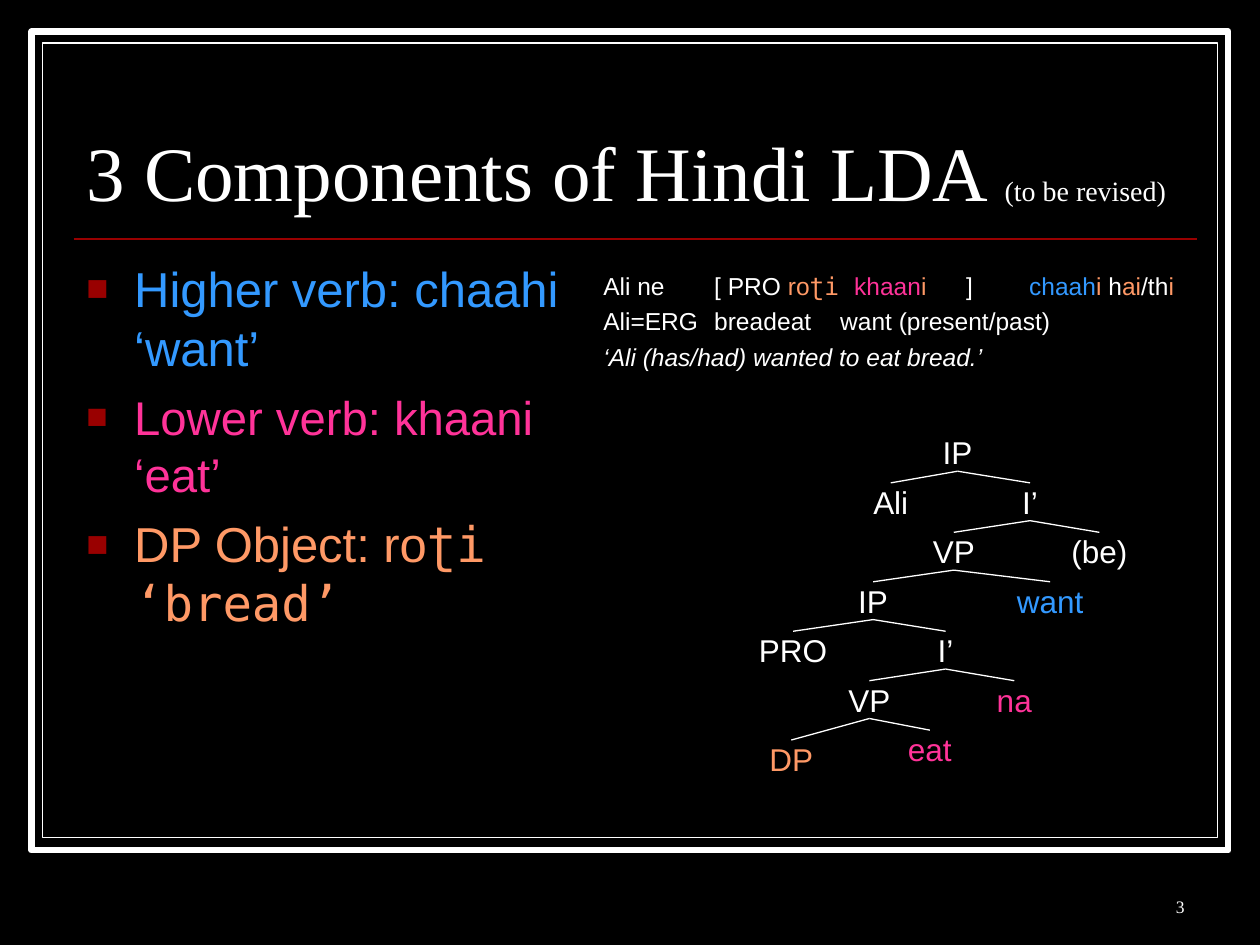
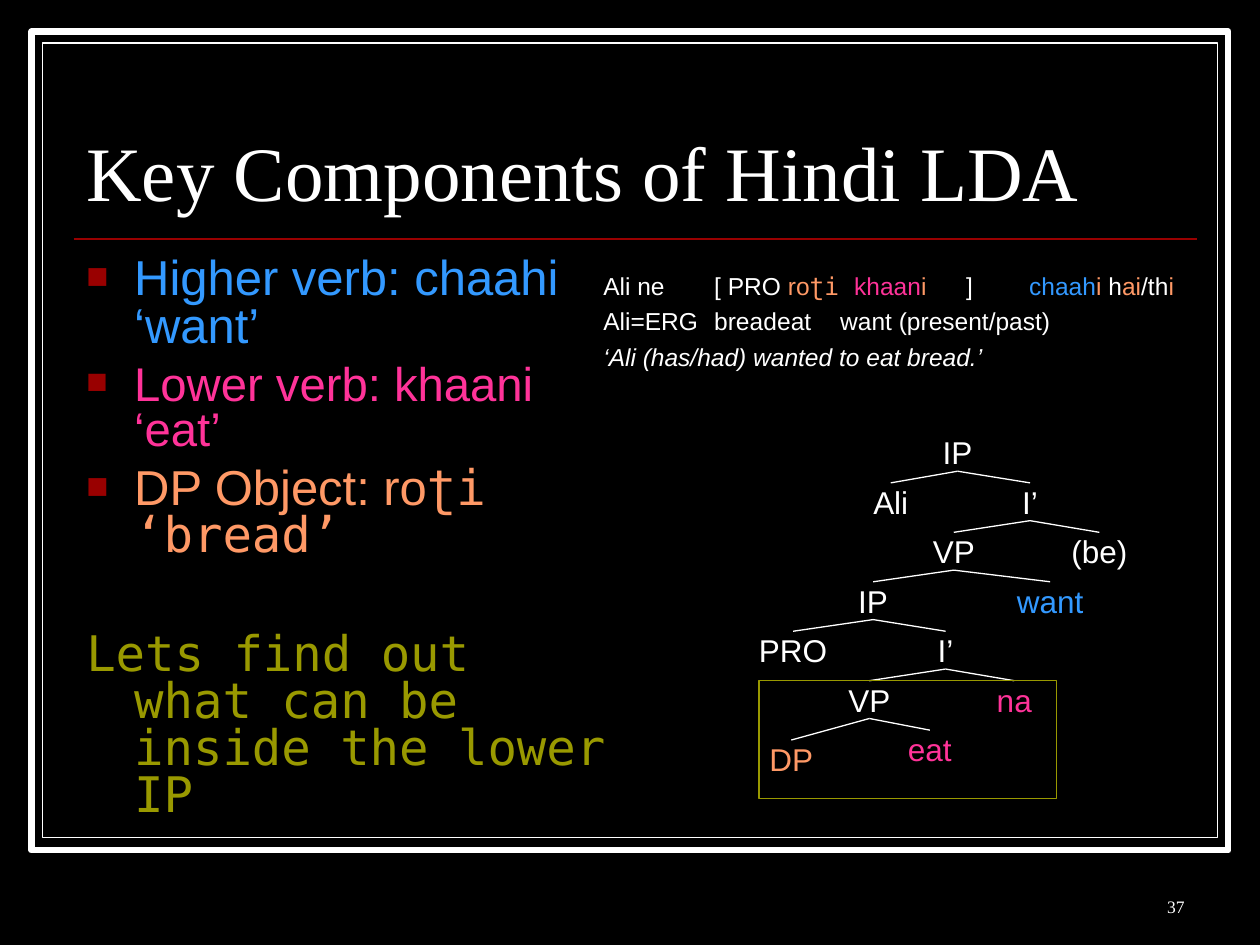
import pptx
import pptx.dml.color
import pptx.enum.shapes
import pptx.enum.text
import pptx.oxml
import pptx.oxml.ns
import pptx.util

# Shared look
WHITE, BLACK, RED = "FFFFFF", "000000", "990000"
BLUE, PINK, ORANGE, OLIVE = "3399FF", "FF3399", "FF9966", "999900"
SERIF, SANS, MONO = "Times New Roman", "Arial", "DejaVu Sans Mono"
HANGING = pptx.util.Inches(0.38)
colour = pptx.dml.color.RGBColor.from_string
Align = pptx.enum.text.PP_ALIGN
Anchor = pptx.enum.text.MSO_ANCHOR
RECTANGLE = pptx.enum.shapes.MSO_SHAPE.RECTANGLE
STRAIGHT = pptx.enum.shapes.MSO_CONNECTOR.STRAIGHT

presentation = pptx.Presentation()
presentation.slide_width = pptx.util.Inches(10)
presentation.slide_height = pptx.util.Inches(7.5)
CELL = presentation.slide_width // 40  # the slide is 40 columns by 30 rows


def grid(*cells):
    """Turn columns and rows into slide lengths."""
    return [int(cell * CELL) for cell in cells]


def write(paragraph, runs, font_format, paragraph_format):
    """Fill a paragraph with (text, changes to the font) runs."""
    for name, value in paragraph_format.items():
        setattr(paragraph, name, value)
    for text, changes in runs:
        run = paragraph.add_run()
        run.text = text
        for name, value in {**font_format, **changes}.items():
            if name == "color":
                run.font.color.rgb = colour(value)
            else:
                setattr(run.font, name, value)


# Wording
verb_lines = [
    ([("Higher verb: chaahi ‘want’", {"color": BLUE})], 28),
    ([("Lower verb: khaani ‘eat’", {"color": PINK})], 27),
    ([("DP Object: ro", {"color": ORANGE}),
      ("ʈi ‘bread’", {"color": ORANGE, "name": MONO})], 28),
]
closing_line = [("Lets find out what can be inside the lower IP",
                 {"color": OLIVE, "name": MONO})]

# Glossed example: runs and tab stops in inches
gloss_lines = [
    ([("Ali ne\t[ PRO ", {}), ("ro", {"color": ORANGE}),
      ("ʈi ", {"color": ORANGE, "name": MONO}), ("khaan", {"color": PINK}),
      ("i", {"color": ORANGE}), ("\t]\t", {}), ("chaah", {"color": BLUE}),
      ("i ", {"color": ORANGE}), ("h", {}), ("ai", {"color": ORANGE}),
      ("/th", {}), ("i", {"color": ORANGE})], [0.54, 2.27, 3]),
    ([("Ali=ERG\tbread\teat\twant (present/past)", {})], [0.75, 2, 3]),
    ([("‘Ali (has/had) wanted to eat bread.’", {"italic": True})], []),
]

# Syntax tree: label, centre column, level, colour, index of the parent
tree_nodes = [
    ("IP", 30.4, 0, WHITE, None),
    ("Ali", 28.28, 1, WHITE, 0),
    ("I’", 32.7, 1, WHITE, 0),
    ("VP", 30.28, 2, WHITE, 2),
    ("(be)", 34.9, 2, WHITE, 2),
    ("IP", 27.72, 3, WHITE, 3),
    ("want", 33.34, 3, BLUE, 3),
    ("PRO", 25.18, 4, WHITE, 5),
    ("I’", 30.02, 4, WHITE, 5),
    ("VP", 27.6, 5, WHITE, 8),
    ("na", 32.2, 5, PINK, 8),
    ("DP", 25.12, 6.2, ORANGE, 9),
    ("eat", 29.52, 6, PINK, 9),
]
TREE_TOP, LEVEL_STEP, LABEL_HEIGHT, LABEL_WIDTH = 13.76, 1.57, 1.2, 2.4

# Background, double frame and title rule, kept on the layout
layout = presentation.slide_layouts[1]
layout.background.fill.solid()
layout.background.fill.fore_color.rgb = colour(BLACK)
first_slide = presentation.slides.add_slide(layout)
frame_parts = []
for frame_box, width in [((1, 1, 38, 26), 3.5), ((1.36, 1.36, 37.3, 25.24), 0.75)]:
    frame = first_slide.shapes.add_shape(RECTANGLE, *grid(*frame_box))
    frame.shadow.inherit = False
    frame.fill.solid()
    frame.fill.fore_color.rgb = colour(BLACK)
    frame.line.color.rgb = colour(WHITE)
    frame.line.width = pptx.util.Pt(width)
    frame_parts.append(frame)
rule = first_slide.shapes.add_connector(STRAIGHT, *grid(2.34, 7.58, 38, 7.58))
rule.line.color.rgb = colour(RED)
rule.line.width = pptx.util.Pt(1)
rule._element.spPr.append(pptx.oxml.parse_xml(
    f"<a:effectLst {pptx.oxml.ns.nsdecls('a')}/>"))
for position, part in enumerate(frame_parts + [rule], start=2):
    layout.shapes.element.insert(position, part._element)

slides = [
    (first_slide, [("3 Components of Hindi LDA ", {}),
                   ("(to be revised)", {"size": pptx.util.Pt(16)})], "3", False),
    (presentation.slides.add_slide(layout),
     [("Key Components of Hindi LDA", {})], "37", True),
]

for slide, title_runs, number, has_closing in slides:
    # Title and list placeholders
    title, body = slide.shapes.title, slide.placeholders[1]
    for placeholder, box, anchor in [
        (title, (2.34, 2.08, 35.66, 5), Anchor.BOTTOM),
        (body, (2.34, 8, 17.48, 17.68), Anchor.TOP),
    ]:
        for name, value in zip(("left", "top", "width", "height"), grid(*box)):
            setattr(placeholder, name, value)
        placeholder.text_frame.vertical_anchor = anchor
        placeholder.text_frame.auto_size = pptx.enum.text.MSO_AUTO_SIZE.NONE
    write(title.text_frame.paragraphs[0], title_runs,
          {"name": SERIF, "size": pptx.util.Pt(44), "color": WHITE},
          {"alignment": Align.LEFT, "line_spacing": 0.8})

    # Verbs and object, with square bullets
    body_lines = [(runs, size, 7, True) for runs, size in verb_lines]
    if has_closing:
        body_lines.append((closing_line, 28, 41, False))
    for index, (runs, size, space, bulleted) in enumerate(body_lines):
        frame = body.text_frame
        paragraph = frame.add_paragraph() if index else frame.paragraphs[0]
        write(paragraph, runs, {"name": SANS, "size": pptx.util.Pt(size)},
              {"space_before": pptx.util.Pt(space),
               "line_spacing": 0.8 if has_closing else 1.0})
        properties = paragraph._p.get_or_add_pPr()
        properties.set("marL", str(HANGING))
        properties.set("indent", str(-HANGING))
        bullet = (f'<a:buClr><a:srgbClr val="{RED}"/></a:buClr>'
                  f'<a:buSzPct val="75000"/><a:buFont typeface="{SANS}"/>'
                  '<a:buChar char="■"/>') if bulleted else "<a:buNone/>"
        properties.extend(pptx.oxml.parse_xml(
            f"<a:pPr {pptx.oxml.ns.nsdecls('a')}>{bullet}</a:pPr>"))

    # Tree labels and branches
    for label, column, level, label_colour, parent in tree_nodes:
        top = TREE_TOP + level * LEVEL_STEP
        text_box = slide.shapes.add_textbox(
            *grid(column - LABEL_WIDTH / 2, top, LABEL_WIDTH, LABEL_HEIGHT))
        text_frame = text_box.text_frame
        for name, value in {"margin_left": 0, "margin_right": 0, "margin_top": 0,
                            "margin_bottom": 0, "word_wrap": False,
                            "vertical_anchor": Anchor.MIDDLE}.items():
            setattr(text_frame, name, value)
        write(text_frame.paragraphs[0], [(label, {})],
              {"name": SANS, "size": pptx.util.Pt(18), "color": label_colour},
              {"alignment": Align.CENTER})
        if parent is None:
            continue
        _, parent_column, parent_level, _, _ = tree_nodes[parent]
        parent_bottom = TREE_TOP + parent_level * LEVEL_STEP + LABEL_HEIGHT
        branch = slide.shapes.add_connector(
            STRAIGHT, *grid(parent_column, parent_bottom, column, top))
        branch.line.color.rgb = colour(WHITE)
        branch.line.width = pptx.util.Pt(0.75)
        branch._element.spPr.append(pptx.oxml.parse_xml(
            f"<a:effectLst {pptx.oxml.ns.nsdecls('a')}/>"))

    # Glossed example sentence
    gloss = slide.shapes.add_textbox(*grid(18.76, 8.4, 19.72, 17.68)).text_frame
    gloss.word_wrap = True
    for index, (runs, stops) in enumerate(gloss_lines):
        paragraph = gloss.add_paragraph() if index else gloss.paragraphs[0]
        write(paragraph, runs,
              {"name": SANS, "size": pptx.util.Pt(14), "color": WHITE},
              {"space_before": pptx.util.Pt(3.5)})
        properties = paragraph._p.get_or_add_pPr()
        properties.set("marL", str(HANGING))
        properties.set("indent", str(-HANGING))
        if stops:
            tabs = "".join(f'<a:tab pos="{pptx.util.Inches(stop)}" algn="l"/>'
                           for stop in stops)
            properties.append(pptx.oxml.parse_xml(
                f"<a:tabLst {pptx.oxml.ns.nsdecls('a')}>{tabs}</a:tabLst>"))

    # Box around the lower verb phrase
    if has_closing:
        highlight = slide.shapes.add_shape(RECTANGLE, *grid(24.1, 21.6, 9.44, 3.76))
        highlight.shadow.inherit = False
        highlight.fill.background()
        highlight.line.color.rgb = colour(OLIVE)
        highlight.line.width = pptx.util.Pt(0.75)

    # Slide number
    footer = slide.shapes.add_textbox(*grid(29.68, 27.32, 8.32, 2)).text_frame
    footer.word_wrap = True
    footer.vertical_anchor = Anchor.BOTTOM
    write(footer.paragraphs[0], [(number, {})],
          {"name": SERIF, "size": pptx.util.Pt(10), "color": WHITE},
          {"alignment": Align.RIGHT})

presentation.save("out.pptx")
